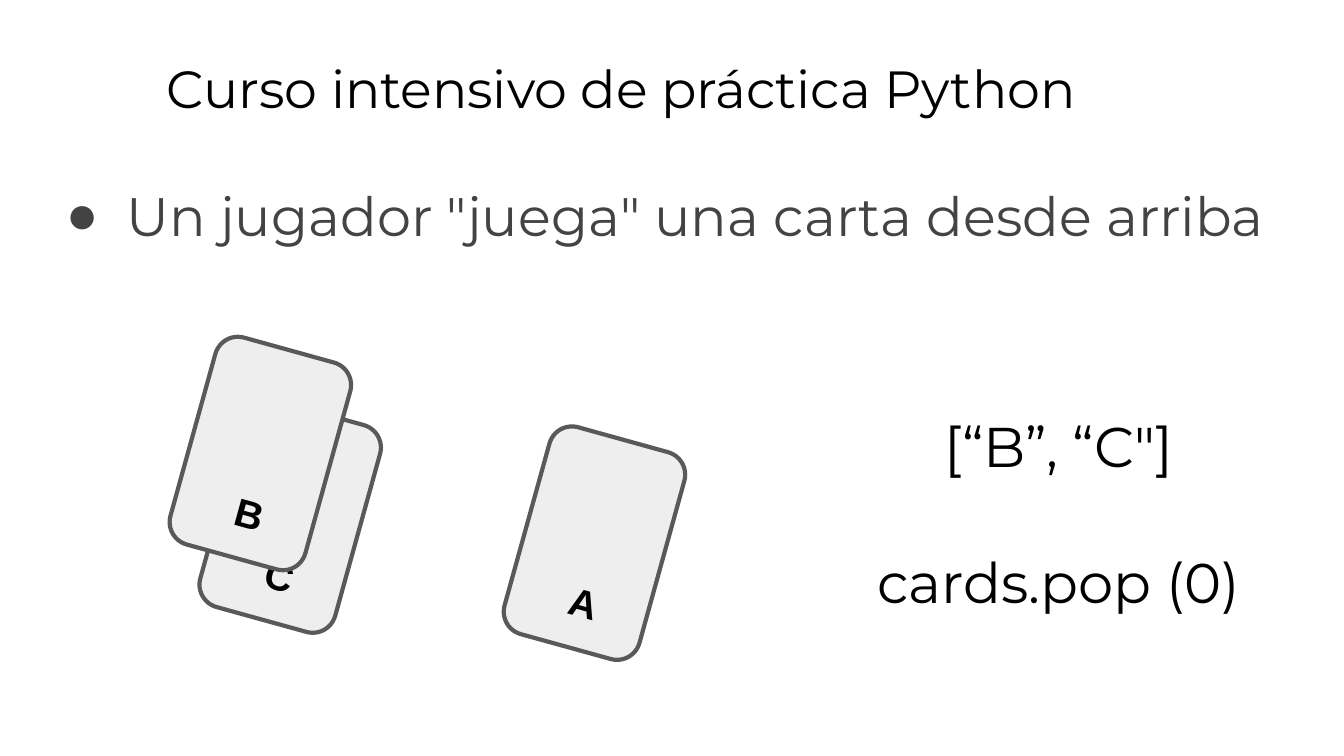
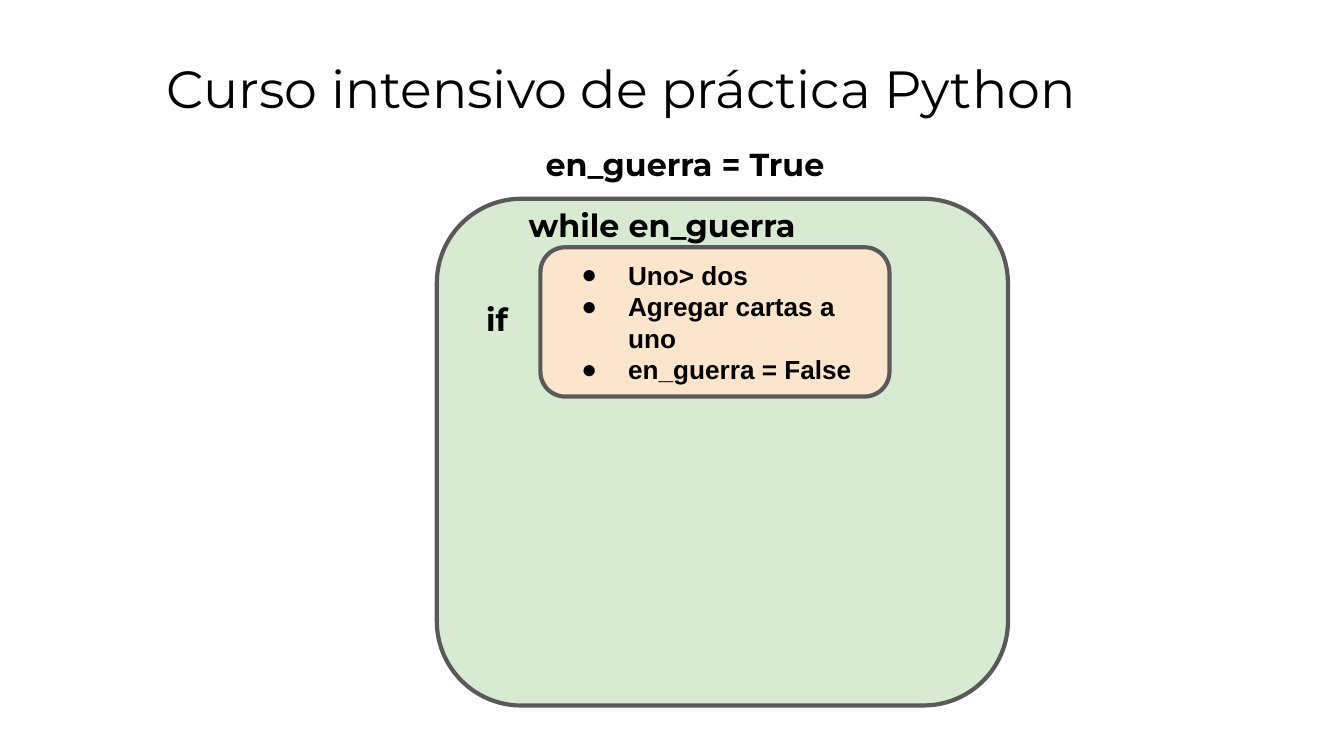
from lxml import etree
from pptx import Presentation
from pptx.dml.color import RGBColor
from pptx.enum import shapes, text
from pptx.oxml import ns
from pptx.util import Pt

TITLE = "Curso intensivo de práctica Python"
TITLE_BOX = (82, 23, 613.5, 45.5)
BLACK, GRAY, OUTLINE = "000000", "434343", "595959"
CARD_FILL, LOOP_FILL, BRANCH_FILL = "EEEEEE", "D9EAD3", "FCE5CD"
INSET = 7.2

TITLE_STYLE = {"name": "Montserrat", "size": Pt(28), "bold": False}
BODY_STYLE = {"name": "Montserrat", "size": Pt(29)}
CODE_STYLE = {"name": "Montserrat", "size": Pt(30)}
LABEL_STYLE = {"name": "Montserrat", "size": Pt(17), "bold": True}
CARD_STYLE = {"name": "Arial", "size": Pt(21), "bold": True}
STEP_STYLE = {"name": "Arial", "size": Pt(14), "bold": True}

PLAY_RULE = ['Un jugador "juega" una carta desde arriba']
PLAY_BOX = (24.5, 90.5, 684, 79)
CODE_LINES = ["[“B”, “C\"]", "cards.pop (0)"]
CODE_BOX = (437, 213.5, 260.5, 68.5)
CARD_SIZE = (75, 115)
CARD_ANGLE = 15.5
CARDS = [("C", 118, 219), ("B", 102, 185.5), ("A", 281, 233.5)]

LOOP_BOX = (234, 106.5, 306, 271.5)
BRANCH_BOX = (289.5, 132.5, 187, 80)
BRANCH_STEPS = ["Uno> dos", "Agregar cartas a uno", "en_guerra = False"]
LABELS = [
    ("while en_guerra", (265.5, 103, 178.5, 29.5)),
    ("en_guerra = True", (242.5, 70.5, 249, 29.5)),
    ("if", (245, 153.5, 42.5, 29.5)),
]


def color(value):
    return RGBColor.from_string(value)


def place(shape, box):
    for name, value in zip(("left", "top", "width", "height"), box):
        setattr(shape, name, Pt(value))


def add_bullet(paragraph, hex_color, indent, hanging):
    properties = paragraph._p.get_or_add_pPr()
    properties.set("marL", str(Pt(indent)))
    properties.set("indent", str(-Pt(hanging)))
    bullet_color = etree.SubElement(properties, ns.qn("a:buClr"))
    etree.SubElement(bullet_color, ns.qn("a:srgbClr"), val=hex_color)
    etree.SubElement(properties, ns.qn("a:buFont"), typeface="Arial")
    etree.SubElement(properties, ns.qn("a:buChar"), char="●")


def write(shape, lines, style, hex_color=BLACK, align=text.PP_ALIGN.CENTER,
          anchor=text.MSO_ANCHOR.TOP, gap=0, hanging=None):
    frame = shape.text_frame
    settings = {"word_wrap": True, "auto_size": text.MSO_AUTO_SIZE.NONE,
                "vertical_anchor": anchor}
    settings.update({f"margin_{side}": Pt(INSET)
                     for side in ("left", "top", "right", "bottom")})
    for name, value in settings.items():
        setattr(frame, name, value)
    for index, line in enumerate(lines):
        paragraph = frame.add_paragraph() if index else frame.paragraphs[0]
        paragraph.alignment = align
        paragraph.space_before = Pt(gap if index else 0)
        if hanging:
            add_bullet(paragraph, hex_color, 36, hanging)
        run = paragraph.add_run()
        run.text = line
        for name, value in style.items():
            setattr(run.font, name, value)
        run.font.color.rgb = color(hex_color)


def add_panel(slide, box, fill):
    shape = slide.shapes.add_shape(
        shapes.MSO_SHAPE.ROUNDED_RECTANGLE, *map(Pt, box))
    shape.shadow.inherit = False
    shape.fill.solid()
    shape.fill.fore_color.rgb = color(fill)
    shape.line.color.rgb = color(OUTLINE)
    shape.line.width = Pt(2.25)
    return shape


def add_card(slide, letter, left, top):
    card = add_panel(slide, (left, top, *CARD_SIZE), CARD_FILL)
    card.rotation = CARD_ANGLE
    write(card, [letter], CARD_STYLE, anchor=text.MSO_ANCHOR.BOTTOM)
    card.text_frame.margin_left = Pt(INSET + 6)
    card.text_frame.margin_bottom = Pt(9)


def add_text(slide, box, lines, style, **options):
    write(slide.shapes.add_textbox(*map(Pt, box)), lines, style, **options)


def add_slide(presentation, layout):
    slide = presentation.slides.add_slide(presentation.slide_layouts[layout])
    place(slide.shapes.title, TITLE_BOX)
    write(slide.shapes.title, [TITLE], TITLE_STYLE, align=text.PP_ALIGN.LEFT)
    return slide


def build_play_slide(presentation):
    slide = add_slide(presentation, 1)
    body = slide.placeholders[1]
    place(body, PLAY_BOX)
    write(body, PLAY_RULE, BODY_STYLE, GRAY, text.PP_ALIGN.LEFT, hanging=32.4)
    for card in CARDS:
        add_card(slide, *card)
    add_text(slide, CODE_BOX, CODE_LINES, CODE_STYLE, gap=36.5)


def build_war_slide(presentation):
    slide = add_slide(presentation, 5)
    add_panel(slide, LOOP_BOX, LOOP_FILL)
    branch = add_panel(slide, BRANCH_BOX, BRANCH_FILL)
    write(branch, BRANCH_STEPS, STEP_STYLE, align=text.PP_ALIGN.LEFT,
          anchor=text.MSO_ANCHOR.MIDDLE, hanging=25)
    for label, box in LABELS:
        add_text(slide, box, [label], LABEL_STYLE)


def main():
    presentation = Presentation()
    presentation.slide_width, presentation.slide_height = Pt(720), Pt(405)
    build_play_slide(presentation)
    build_war_slide(presentation)
    presentation.save("out.pptx")


if __name__ == "__main__":
    main()
